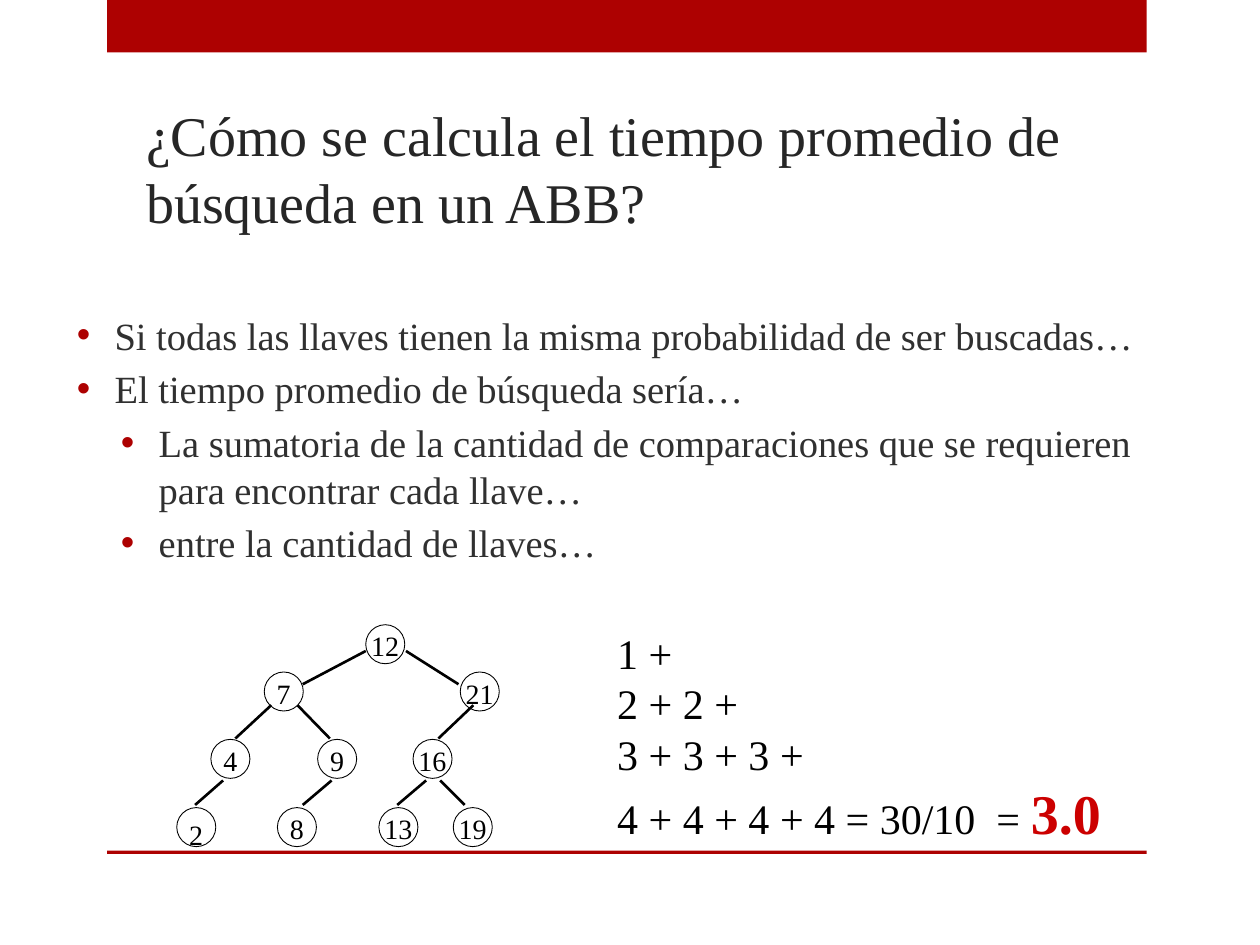
import pptx
import pptx.dml.color
import pptx.enum.shapes
import pptx.enum.text
import pptx.oxml
import pptx.oxml.ns
import pptx.util
import lxml.etree

Pt = pptx.util.Pt
RGBColor = pptx.dml.color.RGBColor
MSO_ANCHOR = pptx.enum.text.MSO_ANCHOR
MSO_AUTO_SIZE = pptx.enum.text.MSO_AUTO_SIZE
PP_ALIGN = pptx.enum.text.PP_ALIGN
MSO_SHAPE = pptx.enum.shapes.MSO_SHAPE
qn = pptx.oxml.ns.qn

RED = RGBColor(0xAD, 0x01, 0x01)
RESULT_RED = RGBColor(0xCC, 0x00, 0x00)
TITLE_GRAY = RGBColor(0x26, 0x26, 0x26)
BODY_GRAY = RGBColor(0x30, 0x30, 0x30)
BLACK = RGBColor(0, 0, 0)
FONT = "Times New Roman"
NODE_SIZE = 22.3

TITLE = "¿Cómo se calcula el tiempo promedio de búsqueda en un ABB?"
BULLETS = [
    (0, "Si todas las llaves tienen la misma probabilidad de ser buscadas…"),
    (0, "El tiempo promedio de búsqueda sería…"),
    (1, "La sumatoria de la cantidad de comparaciones que se requieren "
        "para encontrar cada llave…"),
    (1, "entre la cantidad de llaves…"),
]
SUMS = ["1 +", "2 + 2 +", "3 + 3 + 3 +", "4 + 4 + 4 + 4 = 30/10  = "]
TREE_ROWS = [
    (357, [("12", 209)]),
    (384, [("7", 151), ("21", 263)]),
    (422.5, [("4", 120.5), ("9", 181.5), ("16", 236)]),
    (461.5, [("2", 101), ("8", 158.5), ("13", 216.5), ("19", 259)]),
]
EDGE_ROWS = [
    (372, 391, [(209, 173), (232, 262)]),
    (403, 422, [(155, 134.5), (170, 188.5), (270.5, 250.5)]),
    (446, 460, [(127.5, 111.5), (189.5, 173), (243.5, 227), (251.5, 265.5)]),
]


def add_run(p, text, size, color=BLACK, bold=False):
    r = p.add_run()
    r.text = text
    r.font.name = FONT
    r.font.size = Pt(size)
    r.font.color.rgb = color
    r.font.bold = bold
    return r


class SlideBuilder:
    def __init__(self, s):
        self.s = s

    def place(self, sp, left, top, width, height, anchor):
        sp.left, sp.top, sp.width, sp.height = map(Pt, (left, top, width, height))
        tf = sp.text_frame
        tf.word_wrap = True
        tf.auto_size = MSO_AUTO_SIZE.NONE
        tf.vertical_anchor = anchor
        return tf

    def title(self, text, *box):
        tf = self.place(self.s.shapes.title, *box, MSO_ANCHOR.BOTTOM)
        p = tf.paragraphs[0]
        p.alignment = PP_ALIGN.LEFT
        add_run(p, text, 32, TITLE_GRAY)

    def bullets(self, items, *box):
        tf = self.place(self.s.placeholders[1], *box, MSO_ANCHOR.MIDDLE)
        for i, (level, text) in enumerate(items):
            p = tf.paragraphs[0] if i == 0 else tf.add_paragraph()
            p.level = level
            pPr = p._p.get_or_add_pPr()
            pPr.set("marL", str(Pt(21.6 + 25.2 * level)))
            pPr.set("indent", str(Pt(-21.6)))
            color = lxml.etree.SubElement(pPr, qn("a:buClr"))
            lxml.etree.SubElement(color, qn("a:srgbClr"), val=str(RED))
            lxml.etree.SubElement(pPr, qn("a:buFont"), typeface="Arial")
            lxml.etree.SubElement(pPr, qn("a:buChar"), char="•")
            add_run(p, text, 22, BODY_GRAY)

    def shape(self, kind, left, top, width, height, fill=None):
        sp = self.s.shapes.add_shape(kind, Pt(left), Pt(top), Pt(width), Pt(height))
        sp.shadow.inherit = False
        if fill is None:
            sp.fill.background()
            sp.line.color.rgb = BLACK
            sp.line.width = Pt(0.5)
        else:
            sp.fill.solid()
            sp.fill.fore_color.rgb = fill
            sp.line.fill.background()
        return sp

    def text_box(self, left, top, width, height):
        sp = self.s.shapes.add_textbox(Pt(left), Pt(top), Pt(width), Pt(height))
        tf = sp.text_frame
        tf.word_wrap = False
        tf.auto_size = MSO_AUTO_SIZE.SHAPE_TO_FIT_TEXT
        return tf

    def sums(self, lines, result, *box):
        tf = self.text_box(*box)
        for i, line in enumerate(lines):
            p = tf.paragraphs[0] if i == 0 else tf.add_paragraph()
            add_run(p, line, 24)
        add_run(p, result, 32, RESULT_RED, bold=True)

    def node(self, key, left, top):
        self.shape(MSO_SHAPE.OVAL, left, top, NODE_SIZE, NODE_SIZE)
        width = 8 * len(key)
        drop = 5.8 if key == "2" else 2.4
        tf = self.text_box(left + (NODE_SIZE - width) / 2, top + drop, width, 19.4)
        tf.margin_left = tf.margin_right = tf.margin_top = tf.margin_bottom = 0
        add_run(tf.paragraphs[0], key, 16)

    def edge(self, x1, y1, x2, y2):
        c = self.s.shapes.add_connector(
            pptx.enum.shapes.MSO_CONNECTOR.STRAIGHT, Pt(x1), Pt(y1), Pt(x2), Pt(y2))
        c.line.color.rgb = BLACK
        c.line.width = Pt(1.5)
        lxml.etree.SubElement(c._element.spPr, qn("a:effectLst"))


def main():
    prs = pptx.Presentation()
    prs.slide_width, prs.slide_height = Pt(720), Pt(540)
    b = SlideBuilder(prs.slides.add_slide(prs.slide_layouts[1]))
    b.shape(MSO_SHAPE.RECTANGLE, 61.2, 0, 594, 30, RED)
    b.shape(MSO_SHAPE.RECTANGLE, 61.2, 486, 594, 2, RED)
    b.title(TITLE, 76.3, 48, 590, 90)
    b.bullets(BULLETS, 36.7, 88.6, 646.6, 324)
    b.sums(SUMS, "3.0", 345.6, 355, 291, 131.8)
    for y1, y2, edges in EDGE_ROWS:
        for x1, x2 in edges:
            b.edge(x1, y1, x2, y2)
    for top, nodes in TREE_ROWS:
        for key, left in nodes:
            b.node(key, left, top)
    prs.save("out.pptx")


if __name__ == "__main__":
    main()
